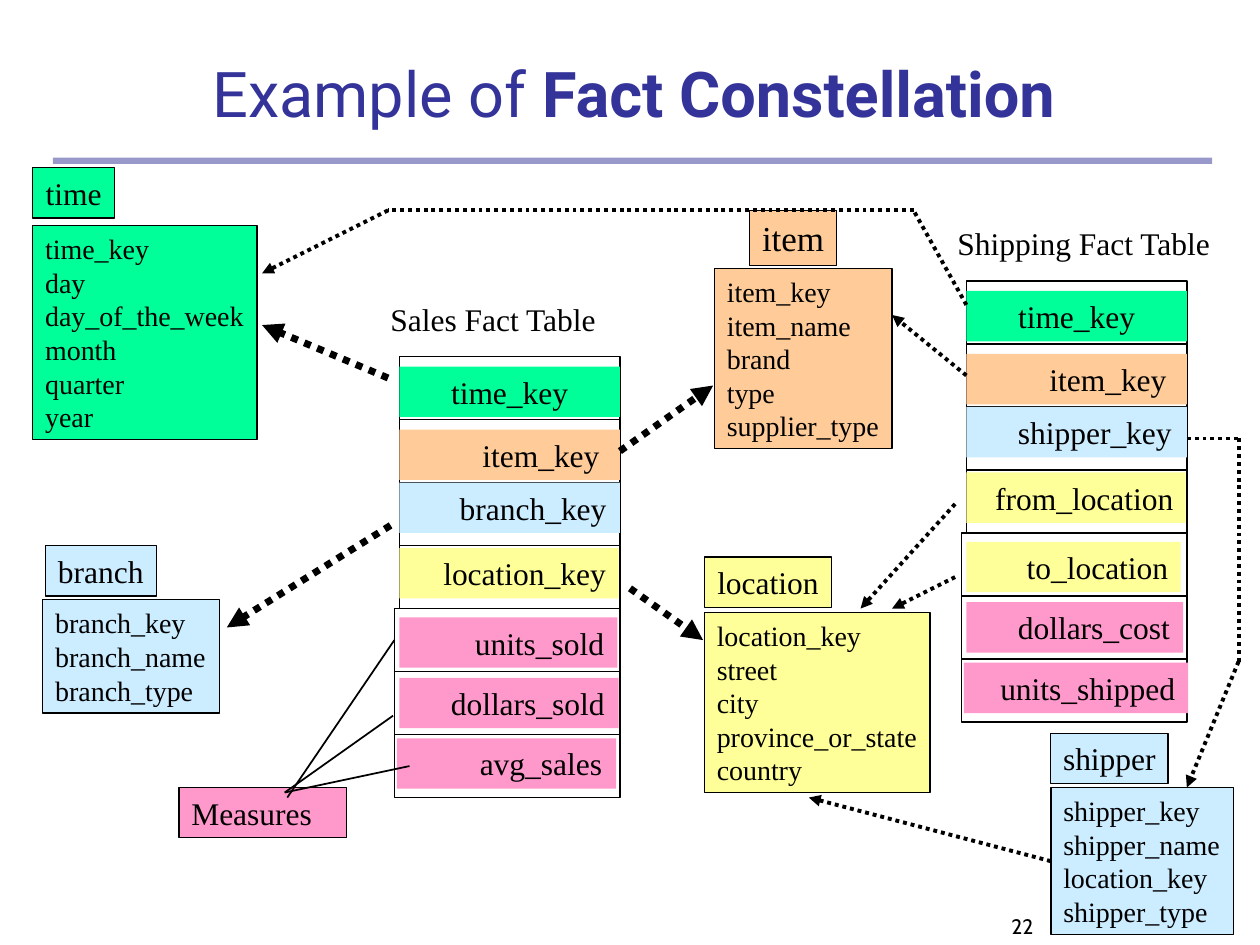
from lxml.etree import SubElement
from pptx import Presentation
from pptx.dml.color import RGBColor
from pptx.enum.dml import MSO_LINE
from pptx.enum.shapes import MSO_CONNECTOR, MSO_SHAPE
from pptx.enum.text import MSO_ANCHOR, MSO_AUTO_SIZE, PP_ALIGN
from pptx.oxml.ns import qn
from pptx.util import Inches, Pt

GREEN, ORANGE, BLUE, YELLOW, PINK = "00FF99", "FFCC99", "CCECFF", "FFFF99", "FF99CC"
BLACK, NAVY = "000000", "333399"
SERIF = "Times New Roman"
LEFT, RIGHT = 1, 3

DIMENSIONS = [
    ("time", (0.26, 1.33, 0.65, 0.4), 18, (0.26, 1.79, 1.78, 1.7), GREEN,
     ["time_key", "day", "day_of_the_week", "month", "quarter", "year"]),
    ("location", (5.59, 4.42, 1.01, 0.4), 18, (5.59, 4.86, 1.79, 1.43), YELLOW,
     ["location_key", "street", "city", "province_or_state", "country"]),
    ("item", (5.95, 1.67, 0.69, 0.44), 20, (5.67, 2.13, 1.41, 1.43), ORANGE,
     ["item_key", "item_name", "brand", "type", "supplier_type"]),
    ("branch", (0.36, 4.33, 0.88, 0.4), 18, (0.34, 4.76, 1.4, 0.9), BLUE,
     ["branch_key", "branch_name", "branch_type"]),
    ("shipper", (8.34, 5.82, 0.93, 0.4), 18, (8.34, 6.25, 1.45, 1.17), BLUE,
     ["shipper_key", "shipper_name", "location_key", "shipper_type"]),
]

FACT_TABLES = [
    ("Sales Fact Table", (3, 2.33, 1.85, 0.4), 3.17, 2.83, [
        ("time_key", GREEN, None, 1.75), ("item_key", ORANGE, 0.56, 1.75),
        ("branch_key", BLUE, 0.38, 1.75), ("location_key", YELLOW, 0.25, 1.74),
        ("units_sold", PINK, 0.5, 1.73), ("dollars_sold", PINK, 0.31, 1.74),
        ("avg_sales", PINK, 0.56, 1.74)]),
    ("Shipping Fact Table", (7.5, 1.73, 2.23, 0.4), 7.67, 2.23, [
        ("time_key", GREEN, None, 1.75), ("item_key", ORANGE, 0.56, 1.75),
        ("shipper_key", BLUE, 0.31, 1.75), ("from_location", YELLOW, 0.13, 1.74),
        ("to_location", YELLOW, 0.38, 1.7), ("dollars_cost", PINK, 0.31, 1.72),
        ("units_shipped", PINK, 0.19, 1.78)]),
]
ROW_PITCH = 0.5
FRAME_SHIFTS = [0, 0, 0, 0, -0.04, -0.04, -0.04]
BAND_SHIFTS = [0, 0, 0, 0, 0, 0, -0.02]
BAND_OFFSETS = [0.08, 0.58, 1, 1.52, 2.07, 2.55, 3.03]

SALES, SHIPPING = "Sales Fact Table", "Shipping Fact Table"
MEASURE_LINES = [
    ((2.28, 6.33), (3.13, 5.08), None, (SALES, "units_sold", LEFT)),
    ((2.26, 6.29), (3.12, 5.68), None, None),
    ((2.26, 6.29), (3.25, 6.08), None, None),
]
SALES_ARROWS = [
    ((3.1, 4.17), (1.8, 4.98), None, None),
    ((3.08, 3), (2.08, 2.58), None, None),
    ((5, 4.67), (5.58, 5.08), None, None),
    ((4.92, 3.58), (5.66, 3.06), (SALES, "item_key", RIGHT), None),
]
SHIPPING_LINES = [
    ((7.67, 2.42), (7.25, 1.67), None, None),
    ((7.25, 1.67), (3.08, 1.67), None, None),
    ((9.83, 3.48), (9.83, 5.25), None, None),
    ((9.42, 3.48), (9.83, 3.48), (SHIPPING, "shipper_key", RIGHT), None),
]
SHIPPING_ARROWS = [
    ((3.08, 1.67), (2.08, 2.17), None, None),
    ((7.67, 2.98), (7.08, 2.5), (SHIPPING, "item_key", LEFT), None),
    ((7.58, 4), (6.83, 4.83), None, None),
    ((7.58, 4.58), (7.08, 4.83), None, None),
    ((9.83, 5.25), (9.42, 6.25), None, None),
    ((8.34, 6.84), (6.42, 6.33), ("shipper", "attributes", LEFT), None),
]


def color(value):
    return RGBColor.from_string(value)


def format_runs(paragraph, size, font=SERIF, text_color=BLACK):
    for run in paragraph.runs:
        run.font.size = Pt(size)
        run.font.name = font
        run.font.color.rgb = color(text_color)


def add_box(slide, box, fill=None, line_width=None):
    shape = slide.shapes.add_shape(MSO_SHAPE.RECTANGLE, *map(Inches, box))
    shape.shadow.inherit = False
    if fill:
        shape.fill.solid()
        shape.fill.fore_color.rgb = color(fill)
    else:
        shape.fill.background()
    if line_width:
        shape.line.color.rgb = color(BLACK)
        shape.line.width = Pt(line_width)
    else:
        shape.line.fill.background()
    return shape


def write(shape, text, size, align=PP_ALIGN.LEFT, wrap=False, font=SERIF, anchor=MSO_ANCHOR.TOP):
    frame = shape.text_frame
    frame.text = text
    frame.word_wrap = wrap
    frame.vertical_anchor = anchor
    for paragraph in frame.paragraphs:
        paragraph.alignment = align
        format_runs(paragraph, size, font)


def add_label(slide, box, text, size, **options):
    write(slide.shapes.add_textbox(*map(Inches, box)), text, size, **options)


def add_fact_table(slide, name, label_box, left, top, rows):
    add_label(slide, label_box, name, 18)
    frames = {}
    for index, (key, fill, indent, width) in enumerate(rows):
        shift = FRAME_SHIFTS[index]
        frames[name, key] = add_box(
            slide, (left + shift, top + index * ROW_PITCH, 1.75 - shift, ROW_PITCH), None, 1)
        band = add_box(
            slide, (left + BAND_SHIFTS[index], top + BAND_OFFSETS[index], width, 0.4), fill)
        write(band, key, 18, PP_ALIGN.LEFT if indent else PP_ALIGN.CENTER, wrap=True)
        if indent:
            band.text_frame.margin_right = 0
            properties = band.text_frame.paragraphs[0]._p.get_or_add_pPr()
            properties.set("marL", str(Inches(indent)))
            properties.set("indent", "0")
    return frames


def add_lines(slide, lines, frames, width, dotted=True, arrow=False):
    for start, end, start_joint, end_joint in lines:
        connector = slide.shapes.add_connector(
            MSO_CONNECTOR.STRAIGHT, *map(Inches, start + end))
        if start_joint:
            connector.begin_connect(frames[start_joint[:2]], start_joint[2])
        if end_joint:
            connector.end_connect(frames[end_joint[:2]], end_joint[2])
        connector.line.color.rgb = color(BLACK)
        connector.line.width = Pt(width)
        if dotted:
            connector.line.dash_style = MSO_LINE.ROUND_DOT
        if arrow:
            SubElement(connector.line._get_or_add_ln(), qn("a:tailEnd"), type="triangle")
        SubElement(connector._element.spPr, qn("a:effectLst"))


def add_title(slide):
    title = slide.shapes.title
    title.left, title.top, title.width, title.height = map(Inches, (1.22, 0.33, 7.62, 0.75))
    frame = title.text_frame
    frame.auto_size = MSO_AUTO_SIZE.NONE
    frame.vertical_anchor = MSO_ANCHOR.BOTTOM
    paragraph = frame.paragraphs[0]
    paragraph.alignment = PP_ALIGN.CENTER
    for text, bold in (("Example of ", False), ("Fact Constellation", True)):
        run = paragraph.add_run()
        run.text = text
        run.font.bold = bold
    format_runs(paragraph, 36, "Roboto", NAVY)


def main():
    """Build the fact constellation slide and save it."""
    presentation = Presentation()
    presentation.slide_width, presentation.slide_height = Inches(10), Inches(7.5)
    slide = presentation.slides.add_slide(presentation.slide_layouts[5])
    add_title(slide)
    rule = add_box(slide, (0.42, 1.25, 9.2, 0.05), NAVY)
    SubElement(rule.fill._xPr.find(qn("a:solidFill"))[0], qn("a:alpha"), val="50000")
    add_label(slide, (7.3, 7, 1, 0.5), "22", 12, align=PP_ALIGN.RIGHT, wrap=True,
              font="Cabin", anchor=MSO_ANCHOR.BOTTOM)
    frames = {}
    for table in FACT_TABLES:
        frames.update(add_fact_table(slide, *table))
    write(add_box(slide, (1.42, 6.25, 1.33, 0.4), PINK, 0.75), "Measures", 18, wrap=True)
    add_lines(slide, MEASURE_LINES, frames, 1, dotted=False)
    for name, label_box, label_size, box, fill, attributes in DIMENSIONS:
        frames[name, "attributes"] = add_box(slide, box, fill, 0.75)
        write(frames[name, "attributes"], "\n".join(attributes), 16)
        write(add_box(slide, label_box, fill, 0.75), name, label_size, PP_ALIGN.CENTER)
    add_lines(slide, SALES_ARROWS, frames, 4, arrow=True)
    add_lines(slide, SHIPPING_LINES, frames, 2.25)
    add_lines(slide, SHIPPING_ARROWS, frames, 2.25, arrow=True)
    presentation.save("out.pptx")


if __name__ == "__main__":
    main()
